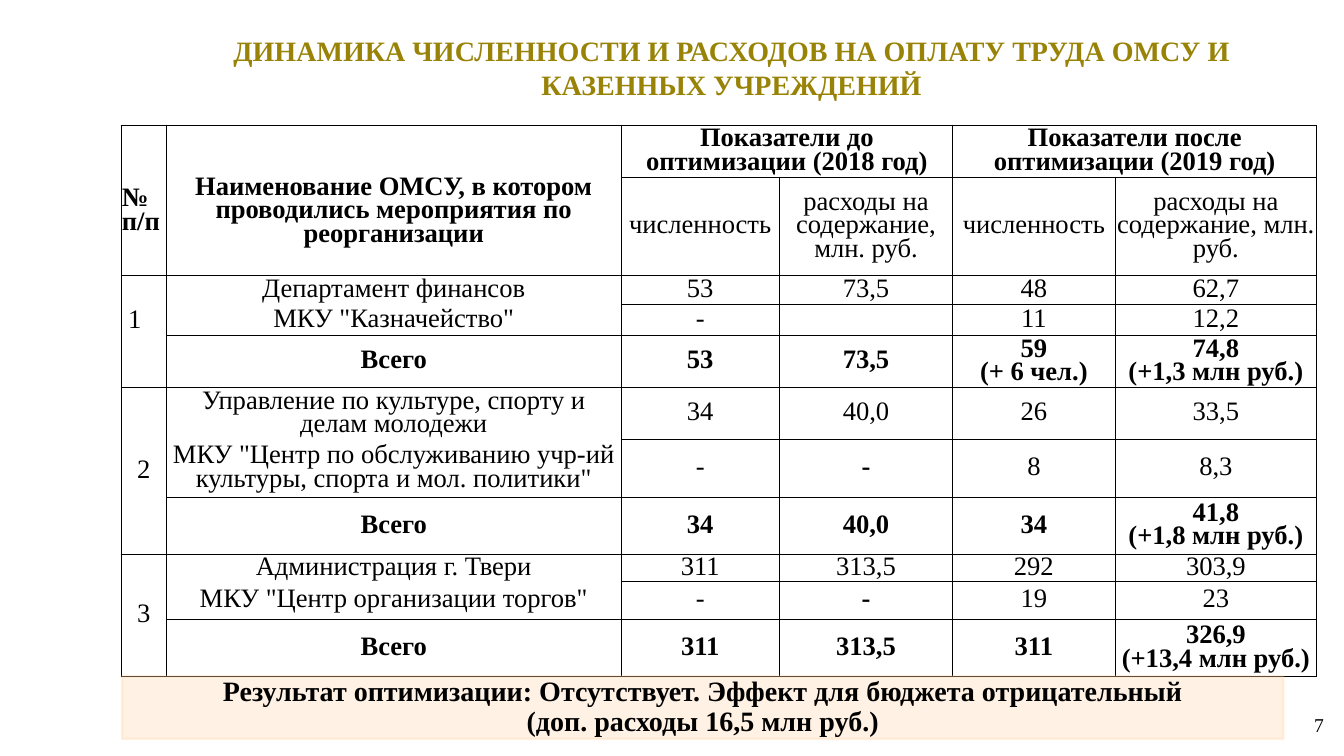
from lxml import etree
from pptx import Presentation
from pptx import util as u
from pptx.dml.color import RGBColor
from pptx.enum import shapes, text
from pptx.oxml import ns

COLORS = {"title": "998307", "text": "000000", "paper": "FFFFFF", "banner": "FFCC99"}
LEFT, CENTER, RIGHT = text.PP_ALIGN.LEFT, text.PP_ALIGN.CENTER, text.PP_ALIGN.RIGHT

COLUMNS = [0.45, 4.51, 1.57, 1.72, 1.61, 2]
ROWS = [0.47, 0.94, 0.28, 0.29, 0.5, 0.47, 0.57, 0.57, 0.24, 0.38, 0.57]
COUNT, COST = "численность", "расходы на содержание, млн. руб."
HEADER = [
    ["№ п/п", "Наименование ОМСУ, в котором проводились мероприятия по реорганизации",
     "Показатели до оптимизации (2018 год)", "", "Показатели после оптимизации (2019 год)", ""],
    ["", "", COUNT, COST, COUNT, COST],
]
GROUPS = [
    [["Департамент финансов", "53", "73,5", "48", "62,7"],
     ['МКУ "Казначейство"', "-", "", "11", "12,2"],
     ["Всего", "53", "73,5", "59\n(+ 6 чел.)", "74,8\n(+1,3 млн руб.)"]],
    [["Управление по культуре, спорту и делам молодежи", "34", "40,0", "26", "33,5"],
     ['МКУ "Центр по обслуживанию учр-ий культуры, спорта и мол. политики"',
      "-", "-", "8", "8,3"],
     ["Всего", "34", "40,0", "34", "41,8\n(+1,8 млн руб.)"]],
    [["Администрация г. Твери", "311", "313,5", "292", "303,9"],
     ['МКУ "Центр организации торгов"', "-", "-", "19", "23"],
     ["Всего", "311", "313,5", "311", "326,9\n(+13,4 млн руб.)"]],
]


class SlideBuilder:
    font = "Times New Roman"

    def __init__(self, slide):
        self.slide = slide

    def color(self, name):
        return RGBColor.from_string(COLORS[name])

    def set_text(self, frame, words, size, bold=False, align=CENTER, color="text", spacing=1.0):
        frame.text = words
        frame.word_wrap = True
        for paragraph in frame.paragraphs:
            paragraph.alignment = align
            paragraph.line_spacing = spacing
            for run in paragraph.runs:
                run.font.name = self.font
                run.font.size = u.Pt(size)
                run.font.bold = bold
                run.font.color.rgb = self.color(color)

    def text_box(self, box, words, size, anchor=text.MSO_ANCHOR.TOP, **style):
        shape = self.slide.shapes.add_textbox(*map(u.Inches, box))
        shape.text_frame.vertical_anchor = anchor
        self.set_text(shape.text_frame, words, size, **style)

    def banner(self, box, words, size, opacity):
        shape = self.slide.shapes.add_shape(shapes.MSO_SHAPE.RECTANGLE, *map(u.Inches, box))
        shape.shadow.inherit = False
        shape.line.width = u.Pt(1.75)
        for fill in (shape.fill, shape.line.fill):
            fill.solid()
            fill.fore_color.rgb = self.color("banner")
        for color in shape.element.spPr.findall(".//" + ns.qn("a:srgbClr")):
            etree.SubElement(color, ns.qn("a:alpha"), val=str(opacity * 1000))
        shape.text_frame.vertical_anchor = text.MSO_ANCHOR.MIDDLE
        self.set_text(shape.text_frame, words, size, bold=True, spacing=0.9)

    def borders(self, cell, hidden):
        properties = cell._tc.get_or_add_tcPr()
        for side in "LRTB":
            line = etree.SubElement(properties, ns.qn(f"a:ln{side}"), w=str(u.Pt(0.5)))
            if side == hidden:
                etree.SubElement(line, ns.qn("a:noFill"))
            else:
                fill = etree.SubElement(line, ns.qn("a:solidFill"))
                etree.SubElement(fill, ns.qn("a:srgbClr"), val=COLORS["text"])

    def cell(self, cell, words, bold, align=CENTER, hidden=None):
        self.borders(cell, hidden)
        cell.fill.solid()
        cell.fill.fore_color.rgb = self.color("paper")
        cell.margin_left = cell.margin_right = cell.margin_top = u.Inches(0.01)
        cell.margin_bottom = 0
        cell.vertical_anchor = text.MSO_ANCHOR.MIDDLE
        self.set_text(cell.text_frame, words, 19, bold, align, spacing=0.8)

    def table(self, left, top):
        box = (left, top, sum(COLUMNS), sum(ROWS))
        table = self.slide.shapes.add_table(
            len(ROWS), len(COLUMNS), *map(u.Inches, box)).table
        for column, width in zip(table.columns, COLUMNS):
            column.width = u.Inches(width)
        for row, height in zip(table.rows, ROWS):
            row.height = u.Inches(height)

        for r, row in enumerate(HEADER):
            for c, words in enumerate(row):
                self.cell(table.cell(r, c), words, r == 0, CENTER if c else LEFT)
        for g, group in enumerate(GROUPS):
            first = len(HEADER) + g * len(group)
            for r, row in enumerate(group):
                number = str(g + 1) if r == 0 else ""
                self.cell(table.cell(first + r, 0), number, False, CENTER if g else LEFT)
                for c, words in enumerate(row, 1):
                    bold = row[0] == "Всего" or (c == 3 and words == "-")
                    hidden = {0: "B", 1: "T"}.get(r) if c == 1 else None
                    self.cell(table.cell(first + r, c), words, bold, hidden=hidden)
            table.cell(first, 0).merge(table.cell(first + len(group) - 1, 0))
        for c in (0, 1):
            table.cell(0, c).merge(table.cell(1, c))
            table.cell(0, c).margin_top = u.Inches(0.22)
        for c in (2, 4):
            table.cell(0, c).merge(table.cell(0, c + 1))
        first_number = table.cell(len(HEADER), 0)
        first_number.margin_left = u.Inches(0.07)
        first_number.margin_bottom = u.Inches(0.22)


def main():
    presentation = Presentation()
    presentation.slide_width = u.Inches(13.33)
    presentation.slide_height = u.Inches(7.5)
    builder = SlideBuilder(presentation.slides.add_slide(presentation.slide_layouts[6]))
    builder.text_box(
        (1.48, 0.3, 11.55, 0.73),
        "ДИНАМИКА ЧИСЛЕННОСТИ И РАСХОДОВ НА ОПЛАТУ ТРУДА ОМСУ И КАЗЕННЫХ УЧРЕЖДЕНИЙ",
        20, text.MSO_ANCHOR.MIDDLE, bold=True, color="title")
    builder.table(1.2, 1.24)
    builder.banner(
        (1.21, 6.71, 11.52, 0.62),
        "Результат оптимизации: Отсутствует. Эффект для бюджета отрицательный\n"
        "(доп. расходы 16,5 млн руб.)", 20, 26)
    builder.text_box((10.9, 7.02, 2.33, 0.4), "7", 14, align=RIGHT)
    presentation.save("out.pptx")


if __name__ == "__main__":
    main()
